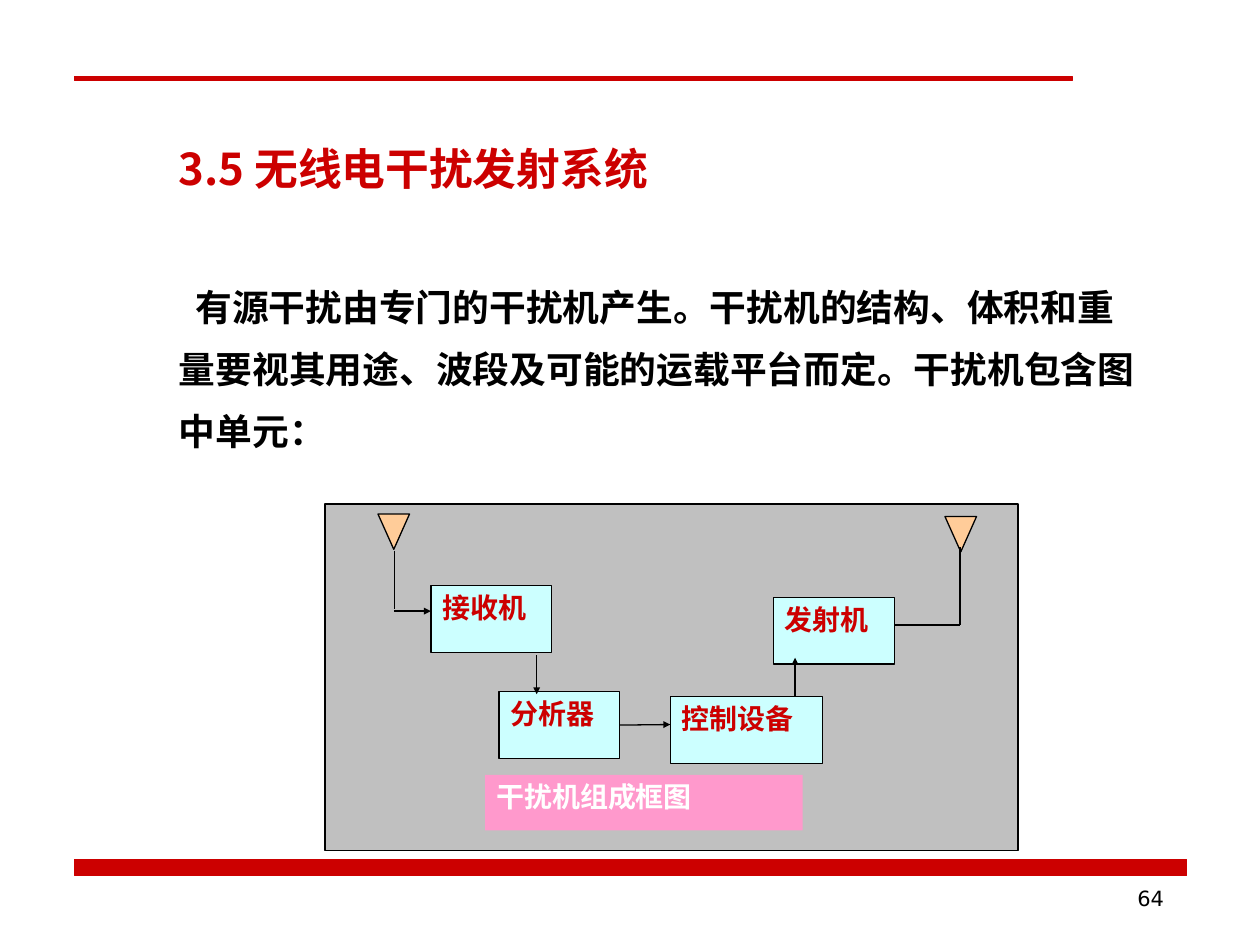
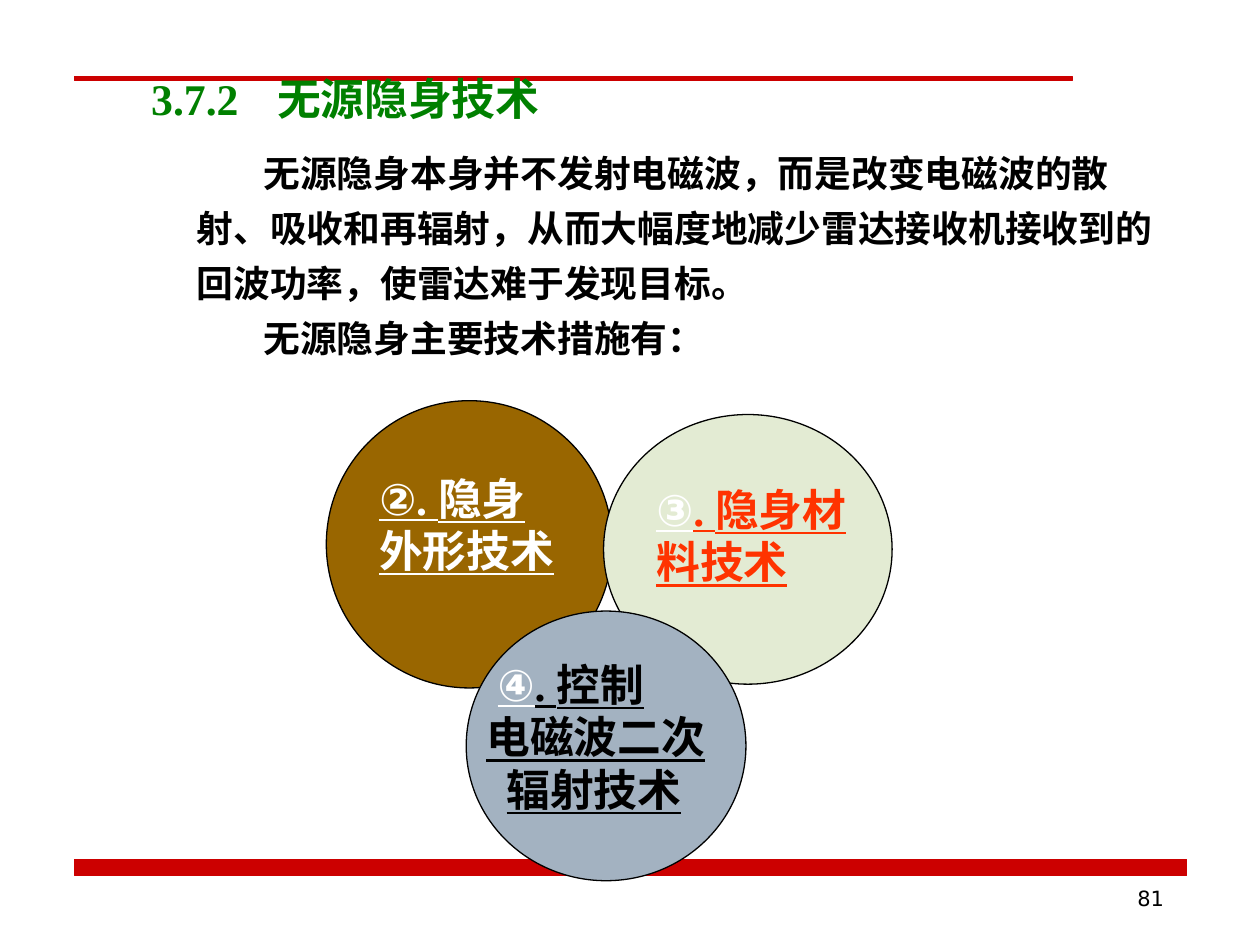
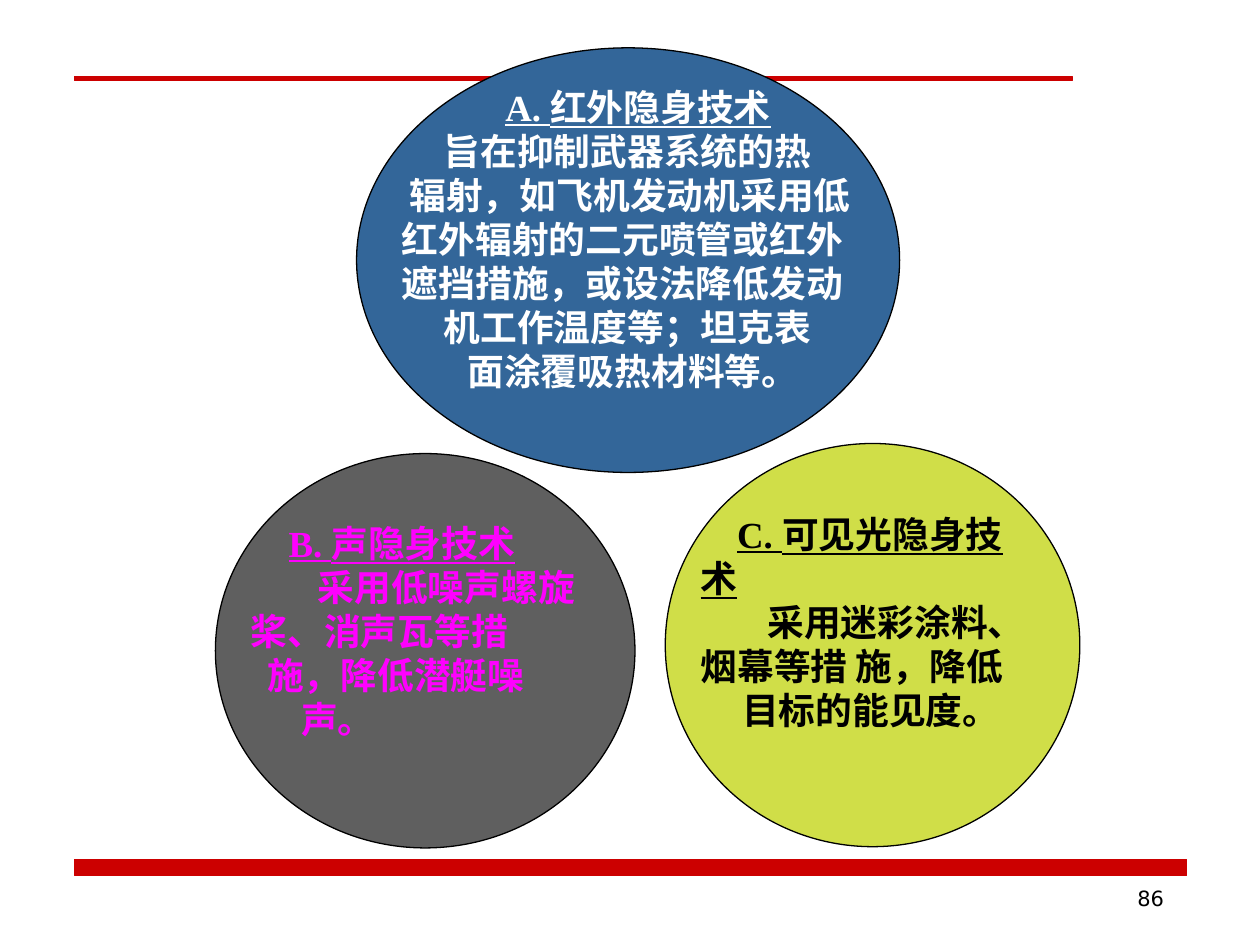
from dataclasses import dataclass
from typing import Any, Optional

from lxml import etree
from pptx import Presentation
from pptx import util as u
from pptx.dml.color import RGBColor
from pptx.enum import shapes, text
from pptx.oxml.ns import qn

RED, BLACK, WHITE = "CC0000", "000000", "FFFFFF"
LATIN, CHINESE, SANS = "Times New Roman", "Noto Sans CJK SC", "Arial"
HEADING_SIZE, BODY_SIZE, LABEL_SIZE = 25, 21, 16
LINE_HEIGHT = 1.2
Box = tuple[float, float, float, float]


@dataclass
class Run:
    text: str
    underline: bool = False
    color: Optional[str] = None
    font: Optional[str] = None


@dataclass
class Line:
    runs: list[Run]
    indent: float = 0
    tab: Optional[float] = None


@dataclass
class Style:
    size: float
    color: str
    font: str = LATIN
    spacing: float = 1
    bold: bool = True
    align: Any = text.PP_ALIGN.LEFT
    anchor: Any = text.MSO_ANCHOR.TOP


@dataclass
class Block:
    label: str
    box: Box


@dataclass
class Wire:
    start: tuple[float, float]
    end: tuple[float, float]
    arrow: bool = False
    source: Optional[str] = None
    color: str = BLACK
    width: float = 0.75


@dataclass
class Circle:
    box: Box
    fill: str
    text_box: Box
    style: Style
    lines: list[Line]


def rgb(color: str) -> RGBColor:
    return RGBColor.from_string(color)


def inches(values: tuple[float, ...]) -> list[int]:
    return [u.Inches(value) for value in values]


def apply_format(target: Any, values: dict[str, Any]) -> None:
    for name, value in values.items():
        setattr(target, name, value)


def plain(words: str, indent: float = 0) -> Line:
    return Line([Run(words)], indent)


def underlined(words: str, indent: float = 0) -> Line:
    return Line([Run(words, underline=True)], indent)


def numbered(number: str, words: str, indent: float = 0) -> Line:
    return Line([Run(number, True, WHITE, SANS), Run(words, True)], indent)


def write_paragraph(paragraph: Any, line: Line, style: Style) -> None:
    apply_format(paragraph, {
        "alignment": style.align,
        "line_spacing": u.Pt(round(style.size * LINE_HEIGHT * style.spacing, 1)),
        "space_before": u.Pt(0),
        "space_after": u.Pt(0),
    })
    properties = paragraph._p.get_or_add_pPr()
    properties.set("marL", "0")
    properties.set("indent", str(u.Inches(line.indent)))
    properties.set("hangingPunct", "0")
    etree.SubElement(properties, qn("a:buNone"))
    if line.tab is not None:
        tabs = etree.SubElement(properties, qn("a:tabLst"))
        etree.SubElement(tabs, qn("a:tab"), pos=str(u.Inches(line.tab)), algn="l")
    for item in line.runs:
        run = paragraph.add_run()
        run.text = item.text
        apply_format(run.font, {
            "name": item.font or style.font,
            "size": u.Pt(style.size),
            "bold": style.bold,
            "underline": item.underline,
        })
        run.font.color.rgb = rgb(item.color or style.color)
        etree.SubElement(run._r.get_or_add_rPr(), qn("a:ea"), typeface=CHINESE)


def write_text(shape: Any, lines: list[Line], style: Style) -> None:
    frame = shape.text_frame
    apply_format(frame, {
        "word_wrap": True,
        "auto_size": text.MSO_AUTO_SIZE.NONE,
        "vertical_anchor": style.anchor,
        "margin_left": u.Inches(0.09),
        "margin_right": u.Inches(0.09),
        "margin_top": u.Inches(0.04),
        "margin_bottom": u.Inches(0.04),
    })
    for index, line in enumerate(lines):
        paragraph = frame.add_paragraph() if index else frame.paragraphs[0]
        write_paragraph(paragraph, line, style)


def fill_placeholder(shape: Any, box: Box, lines: list[Line], style: Style) -> None:
    apply_format(shape, dict(zip(("left", "top", "width", "height"), inches(box))))
    write_text(shape, lines, style)


def add_text(slide: Any, box: Box, lines: list[Line], style: Style) -> None:
    write_text(slide.shapes.add_textbox(*inches(box)), lines, style)


def add_figure(slide: Any, kind: Any, box: Box, fill: str,
               outline: Optional[str] = BLACK) -> Any:
    shape = slide.shapes.add_shape(kind, *inches(box))
    shape.shadow.inherit = False
    shape.fill.solid()
    shape.fill.fore_color.rgb = rgb(fill)
    if outline:
        shape.line.color.rgb = rgb(outline)
        shape.line.width = u.Pt(0.75)
    else:
        shape.line.fill.background()
    return shape


def add_wire(slide: Any, wire: Wire, blocks: dict[str, Any]) -> Any:
    connector = slide.shapes.add_connector(
        shapes.MSO_CONNECTOR.STRAIGHT, *inches(wire.start + wire.end))
    if wire.source:
        connector.begin_connect(blocks[wire.source], 3)
    connector.line.color.rgb = rgb(wire.color)
    connector.line.width = u.Pt(wire.width)
    properties = connector._element.spPr
    if wire.arrow:
        etree.SubElement(properties.find(qn("a:ln")), qn("a:tailEnd"),
                         type="triangle", w="sm", len="sm")
    etree.SubElement(properties, qn("a:effectLst"))
    return connector


def add_circle(slide: Any, circle: Circle) -> None:
    add_figure(slide, shapes.MSO_SHAPE.OVAL, circle.box, circle.fill)
    add_text(slide, circle.text_box, circle.lines, circle.style)


def add_bands_to_master(presentation: Any, slide: Any) -> None:
    bands = [add_figure(slide, shapes.MSO_SHAPE.RECTANGLE, box, RED, RED)
             for box in ((0.59, 6.82, 8.83, 0.13), (0.59, 0.61, 7.92, 0.03))]
    bands.append(add_wire(
        slide, Wire((0.67, 6.9), (9.33, 6.9), color=RED, width=0.25), {}))
    for band in bands:
        presentation.slide_master.shapes.element.append(band._element)


def add_page(presentation: Any, layout: int, number: int) -> Any:
    slide = presentation.slides.add_slide(presentation.slide_layouts[layout])
    style = Style(12, BLACK, "DejaVu Sans", bold=False, align=text.PP_ALIGN.RIGHT)
    add_text(slide, (7.16, 6.99, 2.17, 0.5), [plain(str(number))], style)
    return slide


def build_jammer(slide: Any) -> None:
    fill_placeholder(slide.shapes.title, (1.33, 0.92, 7.83, 0.7),
                     [plain("3.5 无线电干扰发射系统")],
                     Style(HEADING_SIZE, RED, CHINESE, 1.4))
    fill_placeholder(slide.placeholders[1], (1.33, 2.08, 7.83, 1.56), [plain(
        "有源干扰由专门的干扰机产生。干扰机的结构、体积和重量要视其用途、"
        "波段及可能的运载平台而定。干扰机包含图中单元：", 0.13)],
        Style(BODY_SIZE, BLACK, CHINESE, 1.4))

    rectangle = shapes.MSO_SHAPE.RECTANGLE
    add_figure(slide, rectangle, (2.58, 4, 5.5, 2.75), "C0C0C0")
    for left, top in ((3, 4.08), (7.5, 4.1)):
        antenna = add_figure(slide, shapes.MSO_SHAPE.ISOSCELES_TRIANGLE,
                             (left, top, 0.25, 0.28), "FFCC99")
        antenna.rotation = 180

    blocks = {}
    for block in (
        Block("接收机", (3.42, 4.65, 0.96, 0.53)),
        Block("分析器", (3.96, 5.49, 0.96, 0.53)),
        Block("控制设备", (5.32, 5.53, 1.21, 0.53)),
        Block("发射机", (6.14, 4.74, 0.96, 0.53)),
    ):
        shape = add_figure(slide, rectangle, block.box, "CCFFFF")
        write_text(shape, [plain(block.label)], Style(LABEL_SIZE, RED))
        blocks[block.label] = shape

    for wire in (
        Wire((3.13, 4.37), (3.13, 4.83)),
        Wire((7.62, 4.34), (7.62, 4.96)),
        Wire((3.13, 4.85), (3.42, 4.85), True),
        Wire((4.26, 5.2), (4.26, 5.51), True),
        Wire((4.92, 5.75), (5.32, 5.75), True, "分析器"),
        Wire((6.31, 5.53), (6.31, 5.22), True),
        Wire((7.1, 4.96), (7.62, 4.96)),
    ):
        add_wire(slide, wire, blocks)

    caption = add_figure(slide, rectangle, (3.85, 6.15, 2.52, 0.44), "FF99CC", None)
    write_text(caption, [plain("干扰机组成框图")], Style(LABEL_SIZE, WHITE))


def build_passive_stealth(slide: Any) -> None:
    fill_placeholder(slide.shapes.title, (1.11, 0.53, 3.63, 0.51),
                     [Line([Run("3.7.2\t无源隐身技术")], tab=1.07)],
                     Style(HEADING_SIZE, "008000"))
    fill_placeholder(slide.placeholders[1], (1.47, 1.06, 7.84, 1.84), [
        plain("无源隐身本身并不发射电磁波，而是改变电磁波的散射、吸收和再辐射，"
              "从而大幅度地减少雷达接收机接收到的回波功率，使雷达难于发现目标。", 0.53),
        plain("无源隐身主要技术措施有：", 0.53),
    ], Style(BODY_SIZE, BLACK, spacing=1.25, anchor=text.MSO_ANCHOR.MIDDLE))
    for circle in (
        Circle((2.59, 3.18, 2.27, 2.28), "996600", (2.92, 3.7, 1.62, 0.92),
               Style(HEADING_SIZE, WHITE), [numbered("②", ". 隐身外形技术")]),
        Circle((4.79, 3.29, 2.29, 2.14), "E3EBD3", (5.12, 3.79, 1.88, 0.92),
               Style(HEADING_SIZE, "FF3300"), [numbered("③", ". 隐身材料技术")]),
        Circle((3.7, 4.85, 2.22, 2.14), "A3B2C1", (3.77, 5.18, 2.22, 1.34),
               Style(HEADING_SIZE, BLACK), [
                   numbered("④", ". 控制", 0.09),
                   underlined("电磁波二次"),
                   underlined("辐射技术", 0.16)]),
    ):
        add_circle(slide, circle)


def build_stealth_kinds(slide: Any) -> None:
    for circle in (
        Circle((1.71, 3.6, 3.33, 3.13), "5F5F5F", (1.9, 4.09, 2.95, 1.84),
               Style(BODY_SIZE, "FF00FF"), [
                   underlined("B. 声隐身技术", 0.3),
                   plain("采用低噪声螺旋桨、消声瓦等措", 0.53),
                   plain("施，降低潜艇噪", 0.13),
                   plain("声。", 0.4)]),
        Circle((2.83, 0.38, 4.31, 3.37), "336699", (2.83, 0.63, 4.31, 3.59),
               Style(BODY_SIZE, WHITE), [
                   underlined("A. 红外隐身技术", 1.09),
                   plain("旨在抑制武器系统的热", 0.6),
                   plain("辐射，如飞机发动机采用低", 0.33),
                   plain("红外辐射的二元喷管或红外", 0.27),
                   plain("遮挡措施，或设法降低发动", 0.27),
                   plain("机工作温度等；坦克表", 0.6),
                   plain("面涂覆吸热材料等。", 0.79)]),
        Circle((5.28, 3.52, 3.29, 3.2), "D0DE48", (5.47, 4.02, 2.85, 2.54),
               Style(BODY_SIZE, BLACK), [
                   underlined("C. 可见光隐身技术", 0.29),
                   plain("采用迷彩涂料、烟幕等措 施，降低", 0.53),
                   plain("目标的能见度。", 0.33)]),
    ):
        add_circle(slide, circle)


def main() -> None:
    presentation = Presentation()
    presentation.slide_width = u.Inches(10)
    presentation.slide_height = u.Inches(7.5)
    jammer = add_page(presentation, 1, 64)
    add_bands_to_master(presentation, jammer)
    build_jammer(jammer)
    build_passive_stealth(add_page(presentation, 1, 81))
    build_stealth_kinds(add_page(presentation, 6, 86))
    presentation.save("out.pptx")


if __name__ == "__main__":
    main()
